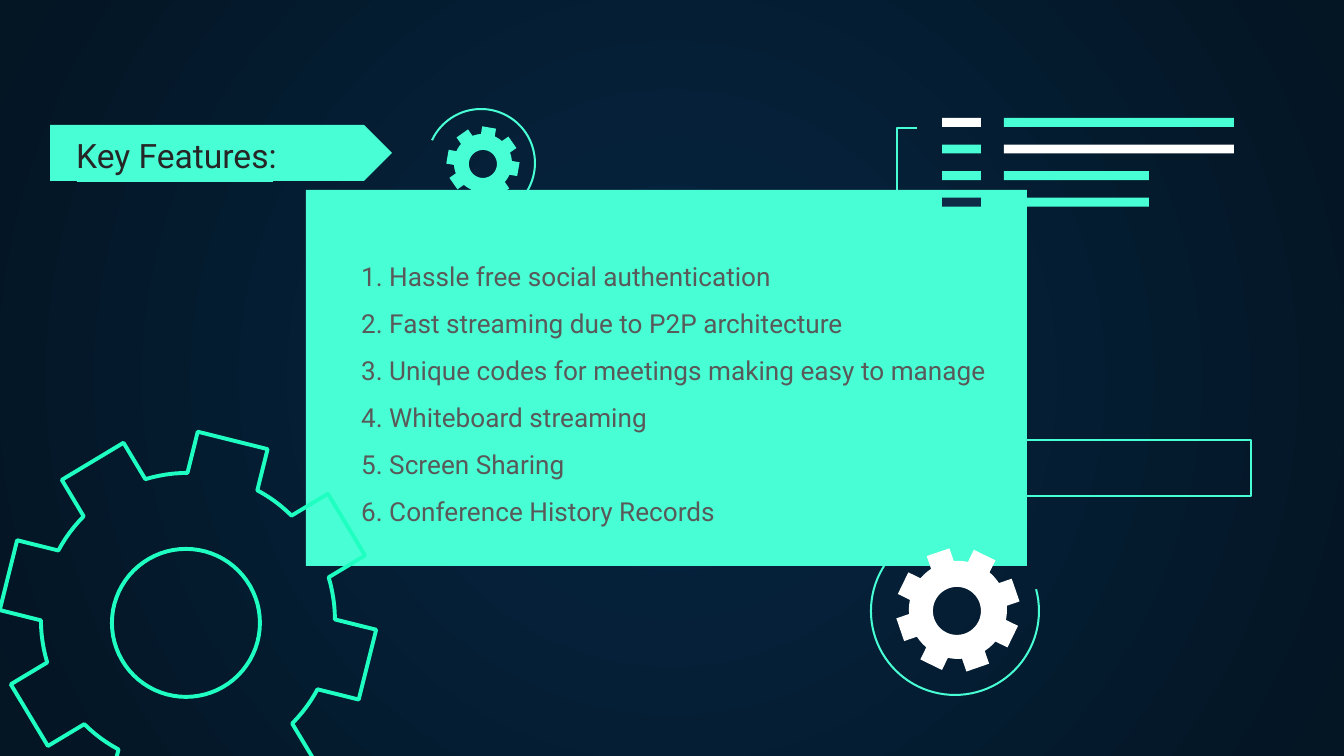
import math
from lxml import etree
from pptx import Presentation, util as u
from pptx.dml.color import RGBColor
from pptx.enum import shapes as s
from pptx.oxml.ns import qn

PX = 914400 / 134.4
MINT, BRIGHT, WHITE, NAVY = "48FFD5", "1EFFC1", "FFFFFF", "0E2A47"
FONT = "Roboto"
THIN, THICK = 1.09, 2.1

TITLE = ["Key Features:"]
FEATURES = [
    "1. Hassle free social authentication",
    "2. Fast streaming due to P2P architecture",
    "3. Unique codes for meetings making easy to manage",
    "4. Whiteboard streaming",
    "5. Screen Sharing",
    "6. Conference History Records",
]
# label colour, bar colour, bar width
CODE_LINES = [
    (WHITE, MINT, 230),
    (MINT, WHITE, 230),
    (MINT, MINT, 145),
    (NAVY, MINT, 145),
]
# centre, hole centre, tip radius, root radius, hole radius, half tooth width, tilt, fill, line
GEARS = [
    ((188, 620), (186, 623), 185, 147, 74, 36, 14, None, BRIGHT),
    ((958, 610), (957, 611), 61, 49, 24, 12, 26, WHITE, None),
    ((483, 163), (483, 164), 36, 29, 14, 7, 10, MINT, None),
]
# centre, radius, start and end angle (clockwise)
ARCS = [((481, 163), 54, 205, 45), ((955, 611), 84, 345, 233)]


def emu(px):
    return u.Emu(round(px * PX))


def rgb(value):
    return RGBColor.from_string(value)


def paint(shape, fill=None, line=None, width=THIN):
    shape.shadow.inherit = False
    if fill:
        shape.fill.solid()
        shape.fill.fore_color.rgb = rgb(fill)
    else:
        shape.fill.background()
    if line:
        shape.line.color.rgb = rgb(line)
        shape.line.width = u.Pt(width)
    else:
        shape.line.fill.background()
    return shape


def add_preset(slide, kind, left, top, width, height, **style):
    shape = slide.shapes.add_shape(kind, emu(left), emu(top), emu(width), emu(height))
    return paint(shape, **style)


def add_outline(slide, contours, closed=True, **style):
    builder = None
    for contour in contours:
        start, *rest = [(emu(x), emu(y)) for x, y in contour]
        if builder is None:
            builder = slide.shapes.build_freeform(*start)
        else:
            builder.move_to(*start)
        builder.add_line_segments(rest, close=closed)
    return paint(builder.convert_to_shape(), **style)


def polar(centre, radius, degrees):
    angle = math.radians(degrees)
    return centre[0] + radius * math.cos(angle), centre[1] + radius * math.sin(angle)


def gear_rim(centre, tip, root, half_width, tilt, teeth=8, steps=6):
    """Each tooth has parallel sides; a sampled root arc leads to the next one."""
    pitch = 360 / teeth
    base = math.degrees(math.asin(half_width / root))
    edge = math.degrees(math.atan2(half_width, tip))
    corner = math.hypot(tip, half_width)
    points = []
    for tooth in range(teeth):
        axis = tilt + tooth * pitch
        points += [polar(centre, corner, axis - edge), polar(centre, corner, axis + edge)]
        gap = pitch - 2 * base
        points += [polar(centre, root, axis + base + gap * i / steps)
                   for i in range(steps + 1)]
    return points


def add_text(slide, lines, left, top, width, height, size, color, spacing=1.0):
    box = slide.shapes.add_textbox(emu(left), emu(top), emu(width), emu(height))
    frame = box.text_frame
    frame.word_wrap = True
    frame.text = "\n".join(lines)
    for paragraph in frame.paragraphs:
        paragraph.line_spacing = spacing
        font = paragraph.runs[0].font
        font.name, font.size = FONT, u.Pt(size)
        font.color.rgb = rgb(color)


def set_radial_background(slide, inner, outer):
    fill = slide.background.fill
    fill.gradient()
    for stop, color in zip(fill.gradient_stops, (inner, outer)):
        stop.color.rgb = rgb(color)
    gradient = slide.element.find(".//" + qn("a:gradFill"))
    gradient.remove(gradient.find(qn("a:lin")))
    circle = etree.SubElement(gradient, qn("a:path"), path="circle")
    etree.SubElement(circle, qn("a:fillToRect"), l="50000", t="50000", r="50000", b="50000")


def main():
    presentation = Presentation()
    presentation.slide_width, presentation.slide_height = emu(1344), emu(756)
    slide = presentation.slides.add_slide(presentation.slide_layouts[6])
    set_radial_background(slide, "052643", "041523")
    rectangle = s.MSO_SHAPE.RECTANGLE

    add_preset(slide, rectangle, 306, 190, 721, 376, fill=MINT)
    for (x, y), radius, start, end in ARCS:
        arc = add_preset(slide, s.MSO_SHAPE.ARC, x - radius, y - radius,
                         2 * radius, 2 * radius, line=MINT)
        # Angles are stored in 60000ths of a degree, adjustments in 100000ths.
        arc.adjustments[0], arc.adjustments[1] = start * 0.6, end * 0.6

    for centre, hole_centre, tip, root, hole, half_width, tilt, fill, line in GEARS:
        rim = gear_rim(centre, tip, root, half_width, tilt)
        circle = [polar(hole_centre, hole, -angle) for angle in range(0, 360, 5)]
        add_outline(slide, [rim, circle], fill=fill, line=line, width=THICK)

    for row, (label_color, bar_color, bar_width) in enumerate(CODE_LINES):
        top = 118 + row * 26.6
        add_preset(slide, rectangle, 942, top, 39, 9, fill=label_color)
        add_preset(slide, rectangle, 1004, top, bar_width, 9, fill=bar_color)
    bracket = [(917, 209), (897, 209), (897, 128), (917, 128)]
    add_outline(slide, [bracket], closed=False, line=MINT)
    add_preset(slide, rectangle, 968, 440, 283, 56, line=MINT)

    add_text(slide, FEATURES, 348, 238, 672, 293, 14, "595959", spacing=1.5)
    add_preset(slide, rectangle, 77, 170, 196, 12, fill=MINT)
    add_preset(slide, s.MSO_SHAPE.PENTAGON, 50, 125, 342, 56, fill=MINT)
    add_text(slide, TITLE, 63, 128, 285, 54, 18, "262626")

    presentation.save("out.pptx")


if __name__ == "__main__":
    main()
